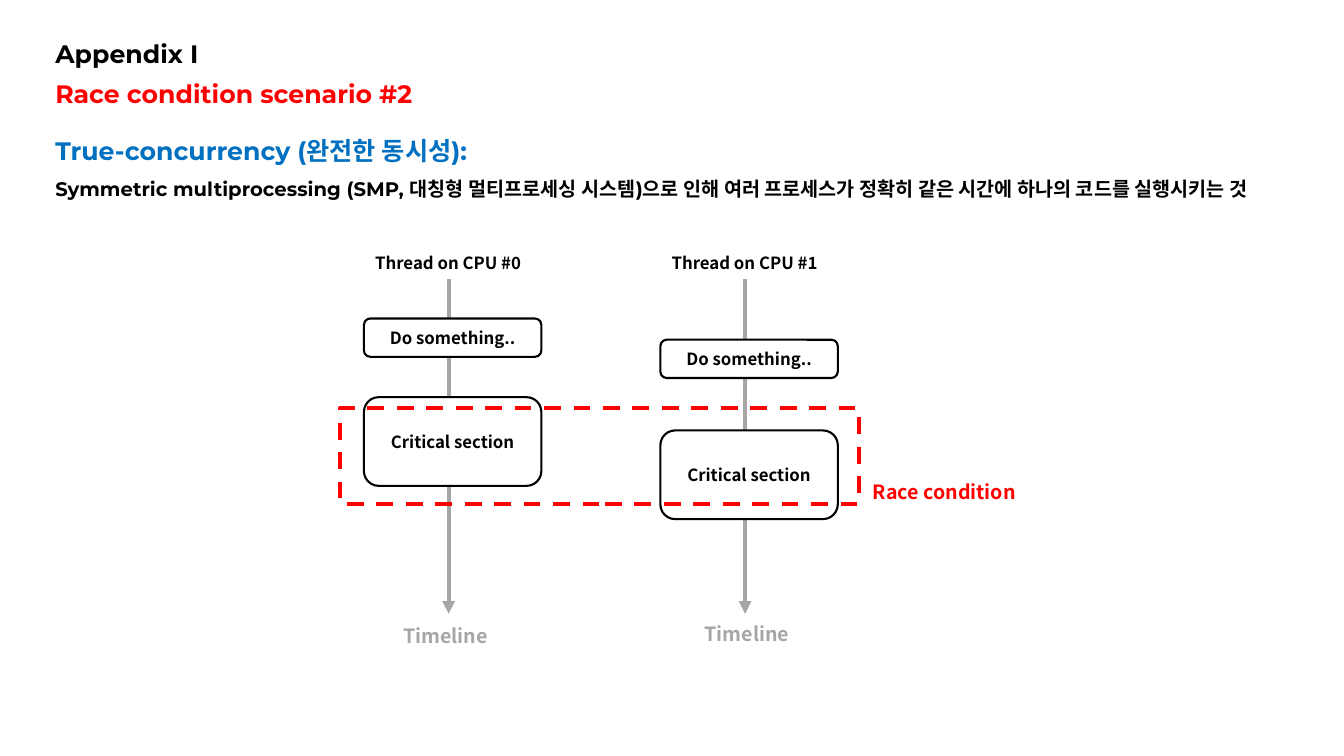
from dataclasses import dataclass

from lxml.etree import SubElement
from pptx import Presentation
from pptx.dml.color import RGBColor
from pptx.enum.dml import MSO_LINE
from pptx.enum.shapes import MSO_CONNECTOR, MSO_SHAPE
from pptx.enum.text import MSO_ANCHOR, MSO_AUTO_SIZE, PP_ALIGN
from pptx.oxml.ns import qn
from pptx.util import Inches, Length, Pt


@dataclass(frozen=True)
class Theme:
    """Colours, fonts and type sizes of the slide."""
    black: str = "000000"
    white: str = "FFFFFF"
    red: str = "FF0000"
    blue: str = "0070C0"
    grey: str = "A6A6A6"
    heading_font: str = "Montserrat"
    body_font: str = "Noto Sans CJK KR"
    heading: int = 18
    body: int = 14
    label: int = 12
    outline: float = 1.5
    heavy: float = 3


@dataclass(frozen=True)
class Area:
    """A rectangle in grid columns and rows."""
    left: float
    top: float
    width: float
    height: float

    def lengths(self) -> tuple[Length, ...]:
        """Return the rectangle as slide lengths."""
        return tuple(grid(n) for n in (self.left, self.top, self.width, self.height))


@dataclass(frozen=True)
class Style:
    """Look of one paragraph."""
    size: int
    colour: str
    font: str
    align: PP_ALIGN = PP_ALIGN.LEFT
    spacing: float = 1.0


@dataclass(frozen=True)
class Thread:
    """One thread's column, with the rows where its parts start."""
    name: str
    left: float
    work_top: float
    critical_top: float
    timeline_left: float
    timeline_top: float


THEME = Theme()
CELL = 0.1  # inches per grid column and row
BOX_WIDTH = 17.6
AXIS_OFFSET = 8.4
AXIS_TOP, AXIS_BOTTOM = 27.7, 60.9
THREADS = (
    Thread("Thread on CPU #0", 36.1, 31.6, 39.4, 39.0, 61.4),
    Thread("Thread on CPU #1", 65.5, 33.7, 42.7, 68.9, 61.2),
)
LABEL = Style(THEME.label, THEME.black, THEME.body_font, PP_ALIGN.CENTER)
TIMELINE = Style(THEME.body, THEME.grey, THEME.body_font)
RACE = Style(THEME.body, THEME.red, THEME.body_font)


def grid(count: float) -> Length:
    """Turn a number of grid cells into a length."""
    return Inches(count * CELL)


def rgb(colour: str) -> RGBColor:
    """Read a colour of the theme."""
    return RGBColor.from_string(colour)


def write(frame, *lines: tuple[str, Style]) -> None:
    """Fill a text frame with bold paragraphs."""
    for number, (text, style) in enumerate(lines):
        para = frame.add_paragraph() if number else frame.paragraphs[0]
        para.text = text
        para.alignment = style.align
        para.line_spacing = style.spacing
        para.space_before = Pt(0)
        para.font.size = Pt(style.size)
        para.font.bold = True
        para.font.color.rgb = rgb(style.colour)
        para.font.name = style.font
        defaults = para._p.pPr.find(qn("a:defRPr"))
        SubElement(defaults, qn("a:ea")).set("typeface", THEME.body_font)


def add_text(page, area: Area, *lines: tuple[str, Style], wrap: bool = True) -> None:
    """Add a text box."""
    box = page.shapes.add_textbox(*area.lengths())
    box.text_frame.word_wrap = wrap
    write(box.text_frame, *lines)


def add_title(page, area: Area, text: str, style: Style) -> None:
    """Place and format the title placeholder."""
    title = page.shapes.title
    title.left, title.top, title.width, title.height = area.lengths()
    title.text_frame.vertical_anchor = MSO_ANCHOR.TOP
    title.text_frame.auto_size = MSO_AUTO_SIZE.NONE
    write(title.text_frame, (text, style))


def add_axis(page, thread: Thread) -> None:
    """Draw the time arrow of a thread."""
    across = grid(thread.left + AXIS_OFFSET)
    axis = page.shapes.add_connector(
        MSO_CONNECTOR.STRAIGHT, across, grid(AXIS_TOP), across, grid(AXIS_BOTTOM))
    axis.line.color.rgb = rgb(THEME.grey)
    axis.line.width = Pt(THEME.heavy)
    SubElement(axis.line._get_or_add_ln(), qn("a:tailEnd")).set("type", "triangle")
    SubElement(axis._element.spPr, qn("a:effectLst"))


def add_step(page, area: Area, text: str) -> None:
    """Draw a rounded box for one step of a thread."""
    box = page.shapes.add_shape(MSO_SHAPE.ROUNDED_RECTANGLE, *area.lengths())
    box.shadow.inherit = False
    box.fill.solid()
    box.fill.fore_color.rgb = rgb(THEME.white)
    box.line.color.rgb = rgb(THEME.black)
    box.line.width = Pt(THEME.outline)
    box.text_frame.vertical_anchor = MSO_ANCHOR.MIDDLE
    write(box.text_frame, (text, LABEL))


def add_thread(page, thread: Thread) -> None:
    """Draw a thread with its name, steps and timeline label."""
    add_axis(page, thread)
    add_text(page, Area(thread.left, 24.6, 16.7, 3), (thread.name, LABEL), wrap=False)
    add_step(page, Area(thread.left, thread.work_top, BOX_WIDTH, 3.8), "Do something..")
    add_step(page, Area(thread.left, thread.critical_top, BOX_WIDTH, 8.8), "Critical section")
    add_text(page, Area(thread.timeline_left, thread.timeline_top, 10.9, 3.4),
             ("Timeline", TIMELINE))


def add_race_frame(page, area: Area) -> None:
    """Draw the dashed frame around the race condition."""
    frame = page.shapes.add_shape(MSO_SHAPE.RECTANGLE, *area.lengths())
    frame.shadow.inherit = False
    frame.fill.background()
    frame.line.color.rgb = rgb(THEME.red)
    frame.line.width = Pt(THEME.heavy)
    frame.line.dash_style = MSO_LINE.DASH


def build() -> None:
    """Build and save the deck."""
    deck = Presentation()
    deck.slide_width, deck.slide_height = Inches(13.33), Inches(7.5)
    page = deck.slides.add_slide(deck.slide_layouts[5])
    font = THEME.heading_font
    add_title(page, Area(4.5, 3.3, 17.7, 4), "Appendix I",
              Style(THEME.heading, THEME.black, font))
    add_text(page, Area(4.5, 7.3, 40, 4),
             ("Race condition scenario #2", Style(THEME.heading, THEME.red, font)))
    add_text(page, Area(4.5, 11.4, 125.5, 12.2),
             ("True-concurrency (완전한 동시성):",
              Style(THEME.heading, THEME.blue, font, spacing=1.5)),
             ("Symmetric multiprocessing (SMP, 대칭형 멀티프로세싱 시스템)으로 인해 "
              "여러 프로세스가 정확히 같은 시간에 하나의 코드를 실행시키는 것",
              Style(THEME.body, THEME.black, font, spacing=1.5)))
    for thread in THREADS:
        add_thread(page, thread)
    add_race_frame(page, Area(33.7, 40.5, 51.5, 9.5))
    add_text(page, Area(85.6, 47.1, 18, 3.4), ("Race condition", RACE))
    deck.save("out.pptx")


build()
